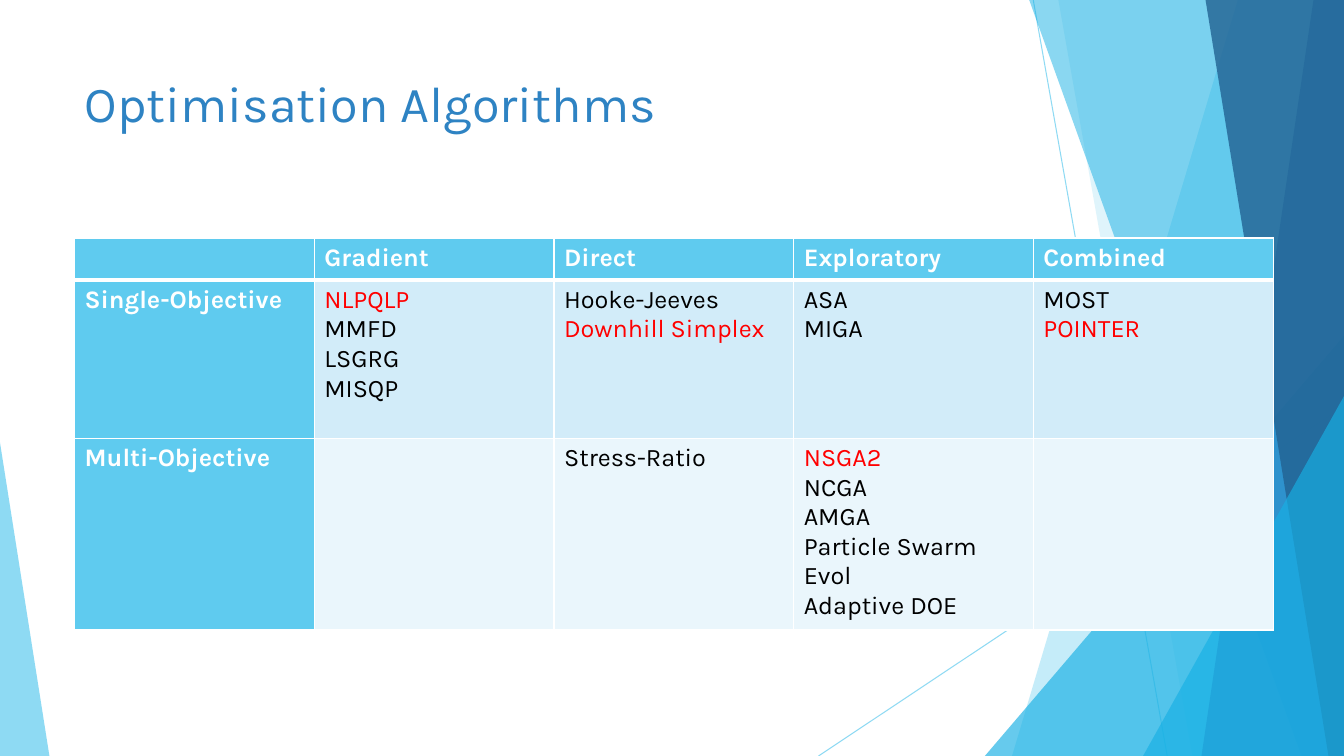
from lxml.etree import SubElement
from pptx import Presentation
from pptx.dml.color import RGBColor
from pptx.enum.shapes import MSO_CONNECTOR, MSO_SHAPE
from pptx.enum.text import MSO_ANCHOR
from pptx.oxml.ns import qn
from pptx.util import Inches, Pt

WIDTH, HEIGHT = Inches(13.333), Inches(7.5)
FONT = "Karla"
SKY = RGBColor(0x5F, 0xCB, 0xEF)
CYAN = RGBColor(0x17, 0xB0, 0xE4)
BLUE = RGBColor(0x2E, 0x83, 0xC3)
NAVY = RGBColor(0x22, 0x62, 0x92)
PALE = RGBColor(0xD2, 0xEC, 0xF9)
PALER = RGBColor(0xEA, 0xF6, 0xFC)
WHITE = RGBColor(0xFF, 0xFF, 0xFF)
BLACK = RGBColor(0, 0, 0)
RED = RGBColor(0xFF, 0, 0)

MARGIN = 5.55
ROW_HEIGHTS = (5.6, 20.93, 24.8)
ROW_FILLS = (SKY, PALE, PALER)
ALGORITHMS = (
    ("", "Gradient", "Direct", "Exploratory", "Combined"),
    ("Single-Objective", "NLPQLP\nMMFD\nLSGRG\nMISQP",
     "Hooke-Jeeves\nDownhill Simplex", "ASA\nMIGA", "MOST\nPOINTER"),
    ("Multi-Objective", "", "Stress-Ratio",
     "NSGA2\nNCGA\nAMGA\nParticle Swarm\nEvol\nAdaptive DOE", ""),
)
HIGHLIGHTED = {"NLPQLP", "Downhill Simplex", "POINTER", "NSGA2"}


def across(percent):
    """Length as a percentage of the slide's width."""
    return round(WIDTH * percent / 100)


def down(percent):
    """Length as a percentage of the slide's height."""
    return round(HEIGHT * percent / 100)


def set_alpha(fill_parent, percent):
    color = fill_parent.find(qn("a:solidFill"))[0]
    SubElement(color, qn("a:alpha"), val=str(percent * 1000))


def paint(shape, color, opacity):
    shape.shadow.inherit = False
    shape.fill.solid()
    shape.fill.fore_color.rgb = color
    set_alpha(shape.fill._xPr, opacity)
    shape.line.fill.background()


def add_ray(slide, start, end):
    ray = slide.shapes.add_connector(
        MSO_CONNECTOR.STRAIGHT, across(start[0]), down(start[1]), across(end[0]), down(end[1]))
    ray.line.color.rgb = SKY
    ray.line.width = Pt(0.75)
    set_alpha(ray.line._get_or_add_ln(), 70)
    SubElement(ray._element.spPr, qn("a:effectLst"))


def add_shard(slide, top_left, bottom_left, color, opacity):
    """Full-height panel with a slanted left side, ending at the right edge."""
    builder = slide.shapes.build_freeform(across(top_left), 0)
    builder.add_line_segments(
        [(WIDTH, 0), (WIDTH, HEIGHT), (across(bottom_left), HEIGHT)], close=True)
    paint(builder.convert_to_shape(), color, opacity)


def add_corner(slide, left, top, width, apex, color, opacity):
    """Triangle standing on the slide's bottom edge."""
    corner = slide.shapes.add_shape(
        MSO_SHAPE.ISOSCELES_TRIANGLE, across(left), down(top), across(width), down(100 - top))
    corner.adjustments[0] = apex
    paint(corner, color, opacity)


def add_backdrop(slide):
    add_ray(slide, (76.88, 0), (86.85, 100))
    add_ray(slide, (100, 53.73), (60.9, 100))
    add_shard(slide, 92.1, 75.3, SKY, 36)
    add_shard(slide, 78.75, 88.73, SKY, 20)
    add_corner(slide, 73.28, 44.4, 26.72, 1, CYAN, 66)
    add_shard(slide, 76.58, 96.83, CYAN, 50)
    add_shard(slide, 97.73, 89.4, BLUE, 70)
    add_shard(slide, 89.7, 98.85, NAVY, 80)
    add_corner(slide, 85.05, 52.4, 14.95, 1, CYAN, 66)
    add_corner(slide, 0, 58.53, 3.68, 0, SKY, 70)


def style_text(paragraph, size, color, bold=False):
    for name, value in {"name": FONT, "size": Pt(size), "bold": bold}.items():
        setattr(paragraph.font, name, value)
    paragraph.font.color.rgb = color
    for run in paragraph.runs:
        for name, value in {"name": FONT, "size": Pt(size), "bold": bold}.items():
            setattr(run.font, name, value)
        run.font.color.rgb = color


def add_title(slide, text):
    frame = slide.shapes.add_textbox(across(MARGIN), down(8.93), across(70.5), down(19.2)).text_frame
    frame.word_wrap = True
    frame.vertical_anchor = MSO_ANCHOR.TOP
    frame.text = text
    style_text(frame.paragraphs[0], 36, BLUE)


def set_borders(cell, row):
    heavy_side = {0: "lnB", 1: "lnT"}.get(row)
    properties = cell._tc.get_or_add_tcPr()
    for side in ("lnL", "lnR", "lnT", "lnB"):
        width = Pt(3 if side == heavy_side else 1)
        border = SubElement(properties, qn(f"a:{side}"), w=str(width))
        fill = SubElement(border, qn("a:solidFill"))
        SubElement(fill, qn("a:srgbClr"), val=str(WHITE))


def fill_cell(cell, text, row, column):
    is_heading = row == 0 or column == 0
    set_borders(cell, row)
    cell.fill.solid()
    cell.fill.fore_color.rgb = SKY if is_heading else ROW_FILLS[row]
    cell.text = text
    for paragraph in cell.text_frame.paragraphs:
        body_color = RED if paragraph.text in HIGHLIGHTED else BLACK
        style_text(paragraph, 18, WHITE if is_heading else body_color, is_heading)


def add_algorithm_table(slide):
    table = slide.shapes.add_table(
        len(ALGORITHMS), len(ALGORITHMS[0]), across(MARGIN), down(31.47),
        across(89.18), down(sum(ROW_HEIGHTS))).table
    for row, texts in enumerate(ALGORITHMS):
        table.rows[row].height = down(ROW_HEIGHTS[row])
        for column, text in enumerate(texts):
            fill_cell(table.cell(row, column), text, row, column)


def main():
    presentation = Presentation()
    presentation.slide_width, presentation.slide_height = WIDTH, HEIGHT
    slide = presentation.slides.add_slide(presentation.slide_layouts[6])
    add_backdrop(slide)
    add_title(slide, "Optimisation Algorithms")
    add_algorithm_table(slide)
    presentation.save("out.pptx")


if __name__ == "__main__":
    main()
